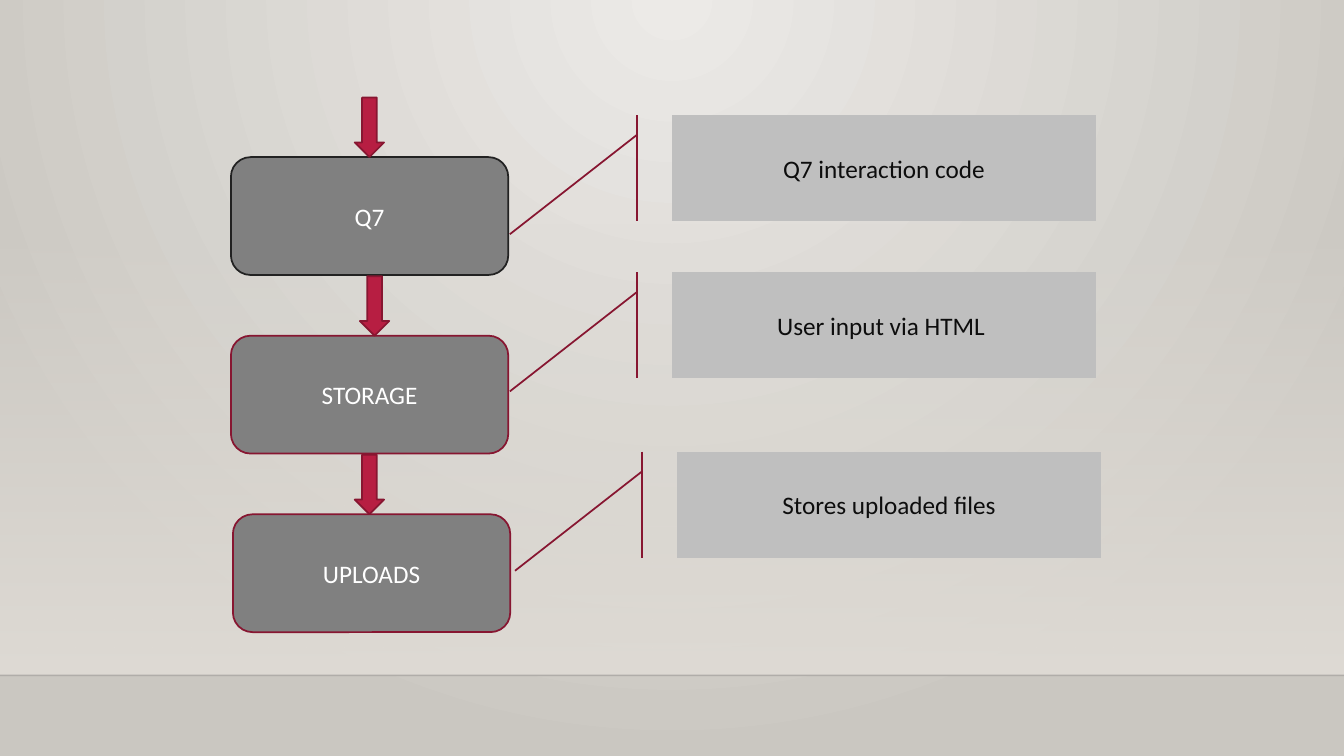
from collections import namedtuple
from lxml import etree
from pptx import Presentation
from pptx.dml.color import RGBColor
from pptx.enum.shapes import MSO_CONNECTOR, MSO_SHAPE
from pptx.enum.text import MSO_ANCHOR, PP_ALIGN
from pptx.oxml.ns import qn
from pptx.util import Cm, Pt

RECT = MSO_SHAPE.RECTANGLE
ROUND = MSO_SHAPE.ROUNDED_RECTANGLE
NOTE = MSO_SHAPE.LINE_CALLOUT_1_ACCENT_BAR
ARROW = MSO_SHAPE.DOWN_ARROW
STRAIGHT = MSO_CONNECTOR.STRAIGHT
MIDDLE = MSO_ANCHOR.MIDDLE
CENTER = PP_ALIGN.CENTER

Step = namedtuple("Step", "name left edge note note_left note_top arrow_left")
STEPS = [
    Step("Q7", 5.82, "222222", "Q7 interaction code", 16.94, 2.9, 8.94),
    Step("STORAGE", 5.82, "871631", "User input via HTML ", 16.94, 6.86, 9.07),
    Step("UPLOADS", 5.87, "871631", "Stores uploaded files", 17.07, 11.38, 8.94),
]

Theme = namedtuple("Theme", "font size line box note arrow edge light dark glow shade wall floor")
THEME = Theme("Calibri", Pt(18), Pt(1.25), "808080", "BFBFBF", "B71E42", "871631",
              "FFFFFF", "0D0D0D", "ECEAE7", "CAC7C1", "DFDBD5", "000001")

WIDE, HIGH = 33.87, 19.05
WALL_TOP, FLOOR_TOP = 5.61, 17.02
BOX_TOP, BOX_W, BOX_H, PITCH = 3.96, 6.99, 2.97, 4.5
NOTE_W, NOTE_H = 10.67, 2.67
ARROW_W, ARROW_H = 0.74, 1.5


def rgb(code):
    return RGBColor.from_string(code)


def blend(fill, first, last):
    fill.gradient()
    for stop, code, place in zip(fill.gradient_stops, (first, last), (0, 1)):
        stop.color.rgb = rgb(code)
        stop.position = place


def fade(root, alpha):
    color = next(root.iter(qn("a:srgbClr")))
    etree.SubElement(color, qn("a:alpha"), val=str(alpha * 1000))


def add_part(slide, kind, left, top, width, height, fill, edge):
    part = slide.shapes.add_shape(kind, Cm(left), Cm(top), Cm(width), Cm(height))
    part.shadow.inherit = False
    part.fill.solid()
    part.fill.fore_color.rgb = rgb(fill)
    part.line.color.rgb = rgb(edge)
    part.line.width = THEME.line
    return part


def add_text(part, text, color):
    frame = part.text_frame
    frame.word_wrap = True
    frame.vertical_anchor = MIDDLE
    para = frame.paragraphs[0]
    para.text = text
    para.alignment = CENTER
    para.font.name = THEME.font
    para.font.size = THEME.size
    para.font.color.rgb = rgb(color)


def add_scene(slide):
    blend(slide.background.fill, THEME.glow, THEME.shade)
    grad = next(slide.element.iter(qn("a:gradFill")))
    grad.remove(grad.find(qn("a:lin")))
    ring = etree.SubElement(grad, qn("a:path"), path="circle")
    etree.SubElement(ring, qn("a:fillToRect"), l="43000", t="0", r="43000", b="100000")

    wall = slide.shapes.add_shape(RECT, 0, Cm(WALL_TOP), Cm(WIDE), Cm(FLOOR_TOP - WALL_TOP))
    wall.shadow.inherit = False
    wall.line.fill.background()
    blend(wall.fill, THEME.wall, THEME.wall)
    wall.fill.gradient_angle = 270
    fade(wall.element, 0)

    floor = slide.shapes.add_connector(STRAIGHT, 0, Cm(FLOOR_TOP), Cm(WIDE), Cm(FLOOR_TOP))
    floor.line.color.rgb = rgb(THEME.floor)
    floor.line.width = Pt(1)
    fade(floor.element, 20)
    etree.SubElement(floor.element.spPr, qn("a:effectLst"))


def add_steps(slide):
    for row, step in enumerate(STEPS):
        top = BOX_TOP + row * PITCH
        box = add_part(slide, ROUND, step.left, top, BOX_W, BOX_H, THEME.box, step.edge)
        add_text(box, step.name, THEME.light)
        note = add_part(slide, NOTE, step.note_left, step.note_top, NOTE_W, NOTE_H,
                        THEME.note, THEME.edge)
        add_text(note, step.note, THEME.dark)
        add_part(slide, ARROW, step.arrow_left, top - ARROW_H, ARROW_W, ARROW_H,
                 THEME.arrow, THEME.edge)


def main():
    deck = Presentation()
    deck.slide_width, deck.slide_height = Cm(WIDE), Cm(HIGH)
    slide = deck.slides.add_slide(deck.slide_layouts[6])
    add_scene(slide)
    add_steps(slide)
    deck.save("out.pptx")


if __name__ == "__main__":
    main()
